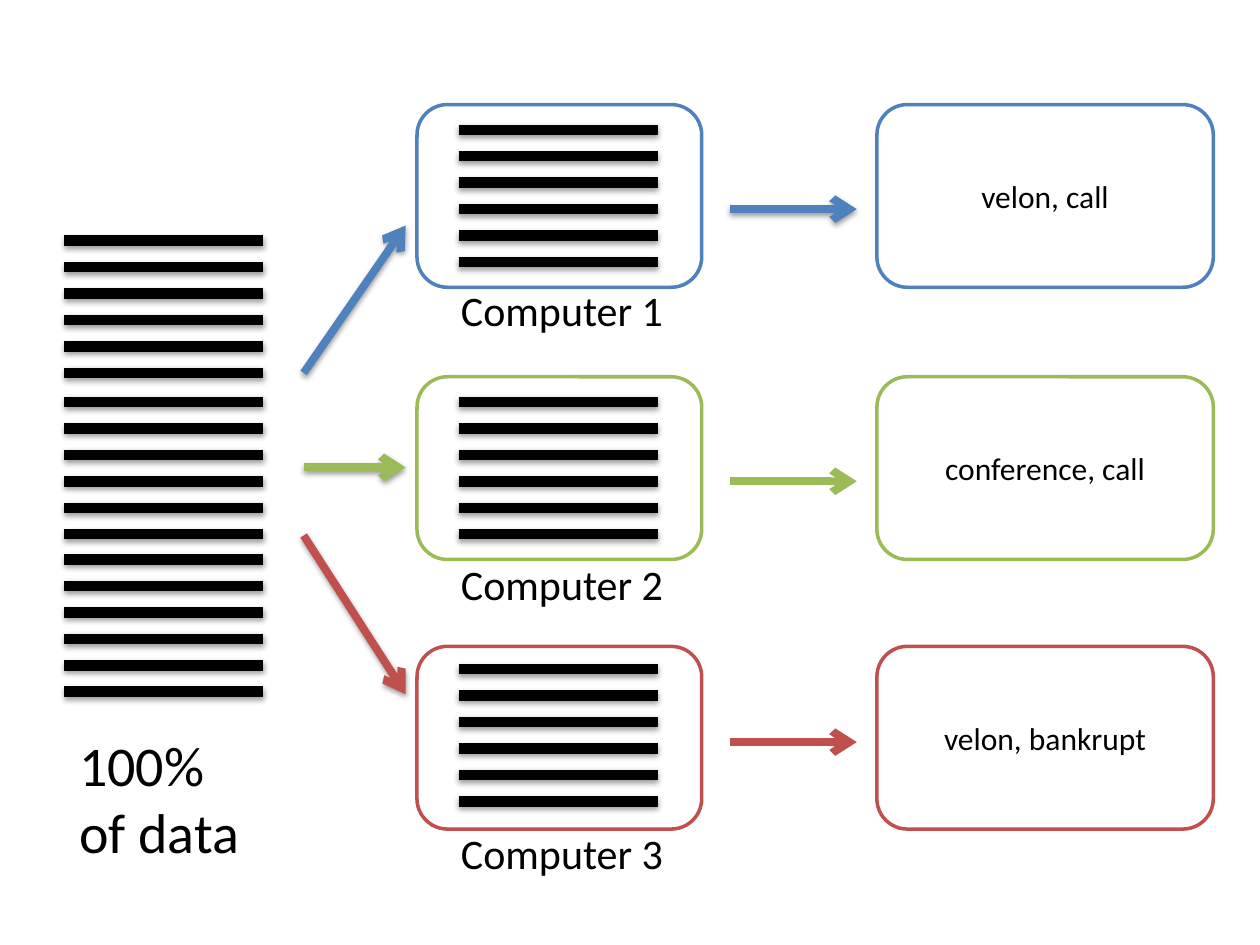
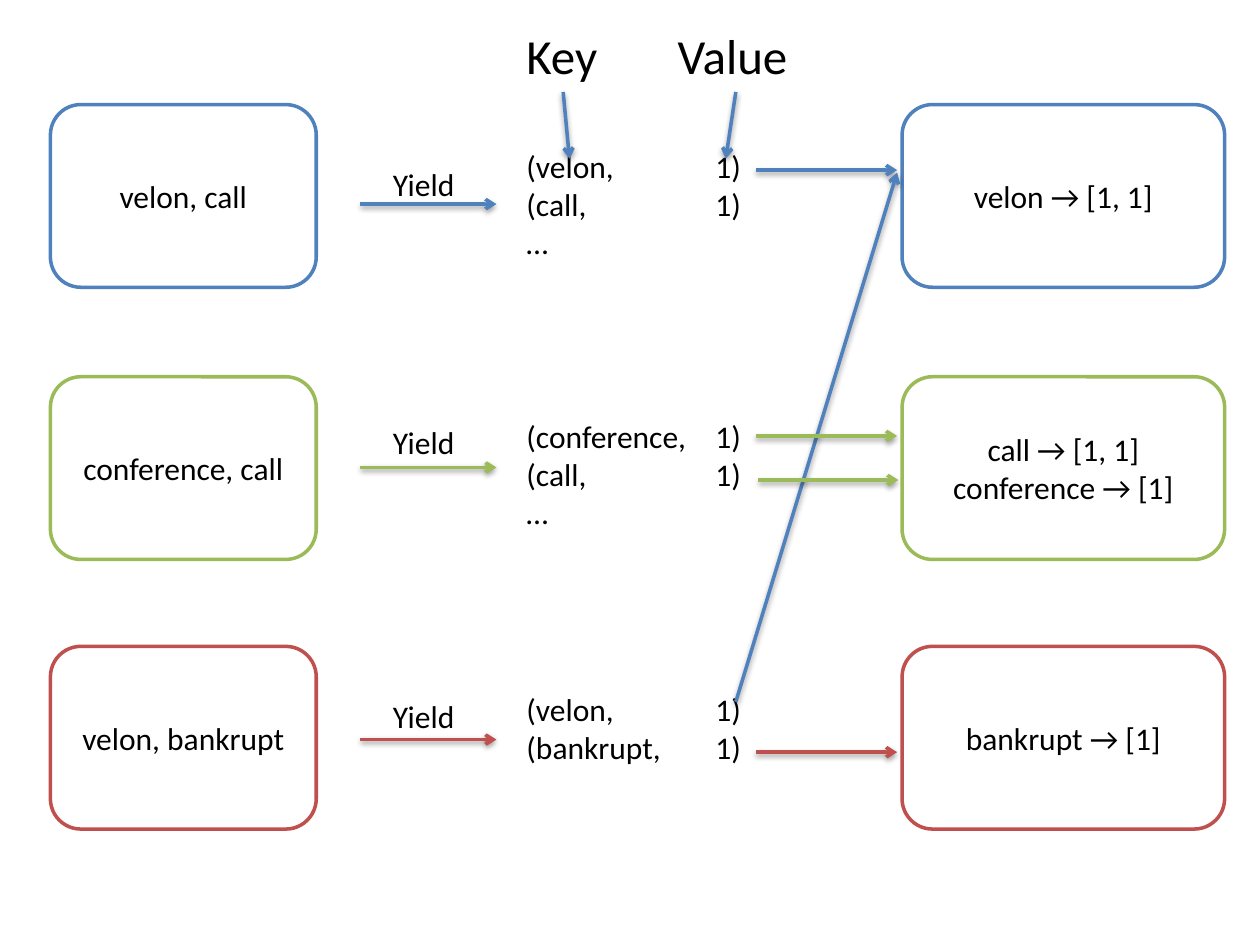
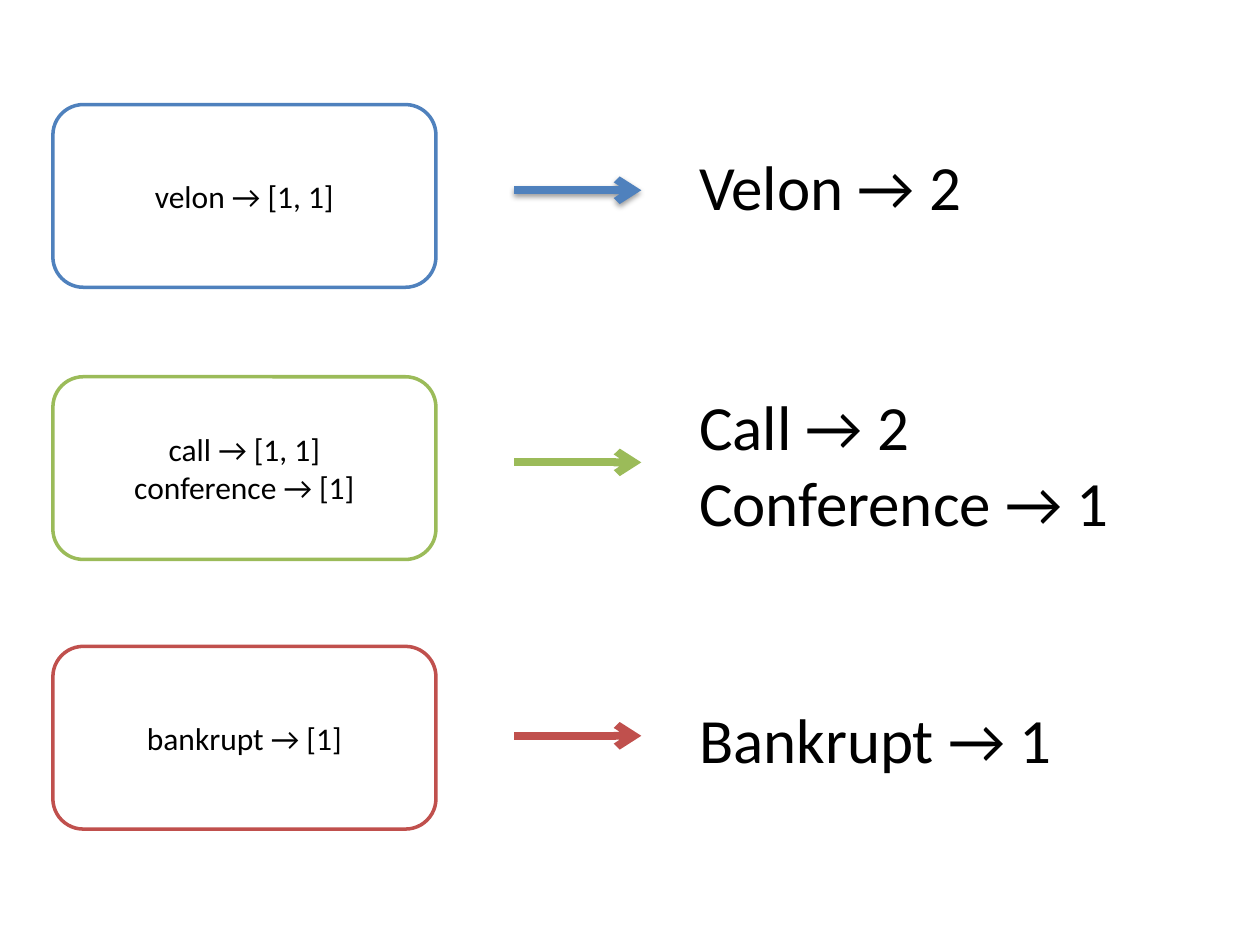
from dataclasses import dataclass

from lxml import etree
from pptx import Presentation
from pptx.dml.color import RGBColor
from pptx.enum.shapes import MSO_CONNECTOR, MSO_SHAPE
from pptx.enum.text import MSO_ANCHOR, MSO_AUTO_SIZE, PP_ALIGN
from pptx.oxml.ns import qn
from pptx.slide import Slide
from pptx.text.text import TextFrame
from pptx.util import Inches, Pt

STRAIGHT = MSO_CONNECTOR.STRAIGHT
ROUNDED = MSO_SHAPE.ROUNDED_RECTANGLE
MIDDLE = MSO_ANCHOR.MIDDLE
CENTER = PP_ALIGN.CENTER
LEFT = PP_ALIGN.LEFT
GROW = MSO_AUTO_SIZE.SHAPE_TO_FIT_TEXT

FONT = "Calibri"
BLACK, WHITE = "000000", "FFFFFF"
BLUE, GREEN, RED = "4F81BD", "9BBB59", "C0504D"
BOX_HEIGHT = 1.45
STRIPE_COUNT, STRIPE_PITCH, STRIPE_LENGTH = 6, 0.21, 1.58
THICK, THIN, STRIPE_WEIGHT = 4.5, 2, 6
VALUE_TAB = 1.5
BODY_SIZE = 18


@dataclass(frozen=True)
class Lane:
    """One computer's row of the flow, with its words at each stage."""

    color: str
    top: float
    words: str
    groups: tuple[str, ...]


@dataclass(frozen=True)
class Label:
    """A block of free text."""

    left: float
    top: float
    width: float
    height: float
    lines: tuple[str, ...]
    size: float = BODY_SIZE
    wrap: bool = False
    tab: float = 0


@dataclass(frozen=True)
class Stroke:
    """A straight line, with or without an arrowhead."""

    start: tuple[float, float]
    end: tuple[float, float]
    color: str
    weight: float
    arrow: bool = True
    shadow: bool = True


LANES = (
    Lane(BLUE, 0.83, "velon, call", ("velon → [1, 1]",)),
    Lane(GREEN, 2.99, "conference, call", ("call → [1, 1]", "conference → [1]")),
    Lane(RED, 5.13, "velon, bankrupt", ("bankrupt → [1]",)),
)


def rgb(color: str) -> RGBColor:
    """Turn a hex string into a colour."""
    return RGBColor.from_string(color)


def write(frame: TextFrame, lines: tuple[str, ...], size: float,
          align: PP_ALIGN = LEFT, tab: float = 0) -> None:
    """Write one paragraph per line, with an optional tab stop."""
    for index, line in enumerate(lines):
        paragraph = frame.add_paragraph() if index else frame.paragraphs[0]
        paragraph.alignment = align
        run = paragraph.add_run()
        run.text = line
        run.font.name = FONT
        run.font.size = Pt(size)
        run.font.color.rgb = rgb(BLACK)
        if tab:
            stops = etree.SubElement(paragraph._p.get_or_add_pPr(), qn("a:tabLst"))
            etree.SubElement(stops, qn("a:tab"), pos=str(Inches(tab)), algn="l")


def draw_label(slide: Slide, label: Label) -> None:
    """Add a block of free text."""
    frame = slide.shapes.add_textbox(
        Inches(label.left), Inches(label.top), Inches(label.width), Inches(label.height)
    ).text_frame
    frame.word_wrap = label.wrap
    frame.auto_size = GROW
    write(frame, label.lines, label.size, tab=label.tab)


def draw_box(slide: Slide, lane: Lane, left: float, width: float,
             lines: tuple[str, ...] = ()) -> None:
    """Add a lane's rounded box with centred lines."""
    box = slide.shapes.add_shape(
        ROUNDED, Inches(left), Inches(lane.top), Inches(width), Inches(BOX_HEIGHT)
    )
    box.shadow.inherit = False
    box.fill.solid()
    box.fill.fore_color.rgb = rgb(WHITE)
    box.line.color.rgb = rgb(lane.color)
    box.line.width = Pt(THIN)
    box.text_frame.word_wrap = True
    box.text_frame.vertical_anchor = MIDDLE
    write(box.text_frame, lines, BODY_SIZE, CENTER)


def draw_stroke(slide: Slide, stroke: Stroke) -> None:
    """Add a straight line; the theme supplies its shadow."""
    ends = [Inches(value) for value in (*stroke.start, *stroke.end)]
    connector = slide.shapes.add_connector(STRAIGHT, *ends)
    connector.line.color.rgb = rgb(stroke.color)
    connector.line.width = Pt(stroke.weight)
    properties = connector._element.spPr
    if stroke.arrow:
        etree.SubElement(properties.find(qn("a:ln")), qn("a:tailEnd"), type="arrow")
    if not stroke.shadow:
        etree.SubElement(properties, qn("a:effectLst"))


def draw_stripes(slide: Slide, left: float, top: float) -> None:
    """Add one share of the data as a stack of stripes."""
    for index in range(STRIPE_COUNT):
        y = top + index * STRIPE_PITCH
        draw_stroke(slide, Stroke((left, y), (left + STRIPE_LENGTH, y),
                                  BLACK, STRIPE_WEIGHT, arrow=False))


def draw_flow_arrows(slide: Slide, left: float, heights: tuple[float, ...]) -> None:
    """Add a thick arrow per lane, only the first one shadowed."""
    for index, (lane, y) in enumerate(zip(LANES, heights)):
        draw_stroke(slide, Stroke((left, y), (left + 1.01, y), lane.color, THICK,
                                  shadow=index == 0))


def build_split(slide: Slide) -> None:
    """Show the data split over three computers."""
    for lane in LANES:
        draw_box(slide, lane, 3.31, 2.26)
    for top in (1.03, 3.19, 5.31):
        draw_stripes(slide, 3.64, top)
    for top in (1.91, 3.19, 4.44):
        draw_stripes(slide, 0.51, top)
    for lane, start, end in zip(LANES, (2.96, 3.71, 4.25), (1.79, 3.71, 5.51)):
        draw_stroke(slide, Stroke((2.41, start), (3.22, end), lane.color, THICK))
    draw_flow_arrows(slide, 5.79, (1.66, 3.82, 5.89))
    draw_label(slide, Label(0.53, 5.75, 1.49, 1.18, ("100%", "of data"), 32))
    for number, top in enumerate((2.21, 4.38, 6.52), start=1):
        draw_label(slide, Label(3.56, top, 1.83, 0.5, (f"Computer {number}",), 24))
    for lane in LANES:
        draw_box(slide, lane, 6.96, 2.67, (lane.words,))


def build_shuffle(slide: Slide) -> None:
    """Show the key and value pairs being grouped by key."""
    pairs = (
        Label(4.08, 1.12, 1.92, 1.01, ("(velon,\t1)", "(call,\t1)", "…"),
              wrap=True, tab=VALUE_TAB),
        Label(4.08, 3.26, 1.92, 1.01, ("(conference,\t1)", "(call,\t1)", "…"),
              wrap=True, tab=VALUE_TAB),
        Label(4.08, 5.43, 2.11, 0.71, ("(velon,\t1)", "(bankrupt,\t1)"),
              wrap=True, tab=VALUE_TAB),
    )
    headings = (
        Label(4.08, 0.15, 0.78, 0.57, ("Key",), 28),
        Label(5.28, 0.15, 1.1, 0.57, ("Value",), 28),
    )
    links = (
        Stroke((4.47, 0.73), (4.52, 1.26), BLUE, THIN),
        Stroke((5.84, 0.73), (5.76, 1.26), BLUE, THIN),
        Stroke((6, 1.35), (7.12, 1.35), BLUE, THIN),
        Stroke((5.84, 5.57), (7.12, 1.37), BLUE, THIN),
        Stroke((6, 3.46), (7.12, 3.46), GREEN, THIN),
        Stroke((6.02, 3.81), (7.13, 3.81), GREEN, THIN),
        Stroke((6, 5.97), (7.12, 5.97), RED, THIN),
    )
    for label in pairs:
        draw_label(slide, label)
    for lane in LANES:
        draw_box(slide, lane, 7.16, 2.56, lane.groups)
        draw_box(slide, lane, 0.4, 2.11, (lane.words,))
    for lane, y in zip(LANES, (1.62, 3.71, 5.87)):
        draw_stroke(slide, Stroke((2.86, y), (3.94, y), lane.color, THIN))
    for label in headings:
        draw_label(slide, label)
    for link in links:
        draw_stroke(slide, link)
    for top in (1.26, 3.31, 5.48):
        draw_label(slide, Label(3.02, top, 0.7, 0.4, ("Yield",)))


def build_totals(slide: Slide) -> None:
    """Show the grouped values reduced to totals."""
    totals = (
        Label(5.45, 1.12, 2.4, 0.71, ("Velon → 2",), 36),
        Label(5.45, 3.03, 5, 1.31, ("Call → 2", "Conference → 1"), 36, wrap=True),
        Label(5.45, 5.51, 3.07, 0.71, ("Bankrupt → 1",), 36),
    )
    for lane in LANES:
        draw_box(slide, lane, 0.42, 3.04, lane.groups)
    for total in totals:
        draw_label(slide, total)
    draw_flow_arrows(slide, 4.08, (1.51, 3.67, 5.84))


def main() -> None:
    """Build and save the presentation."""
    deck = Presentation()
    deck.slide_width, deck.slide_height = Inches(10), Inches(7.5)
    blank = deck.slide_layouts.get_by_name("Blank")
    for build in (build_split, build_shuffle, build_totals):
        build(deck.slides.add_slide(blank))
    deck.save("out.pptx")


main()
